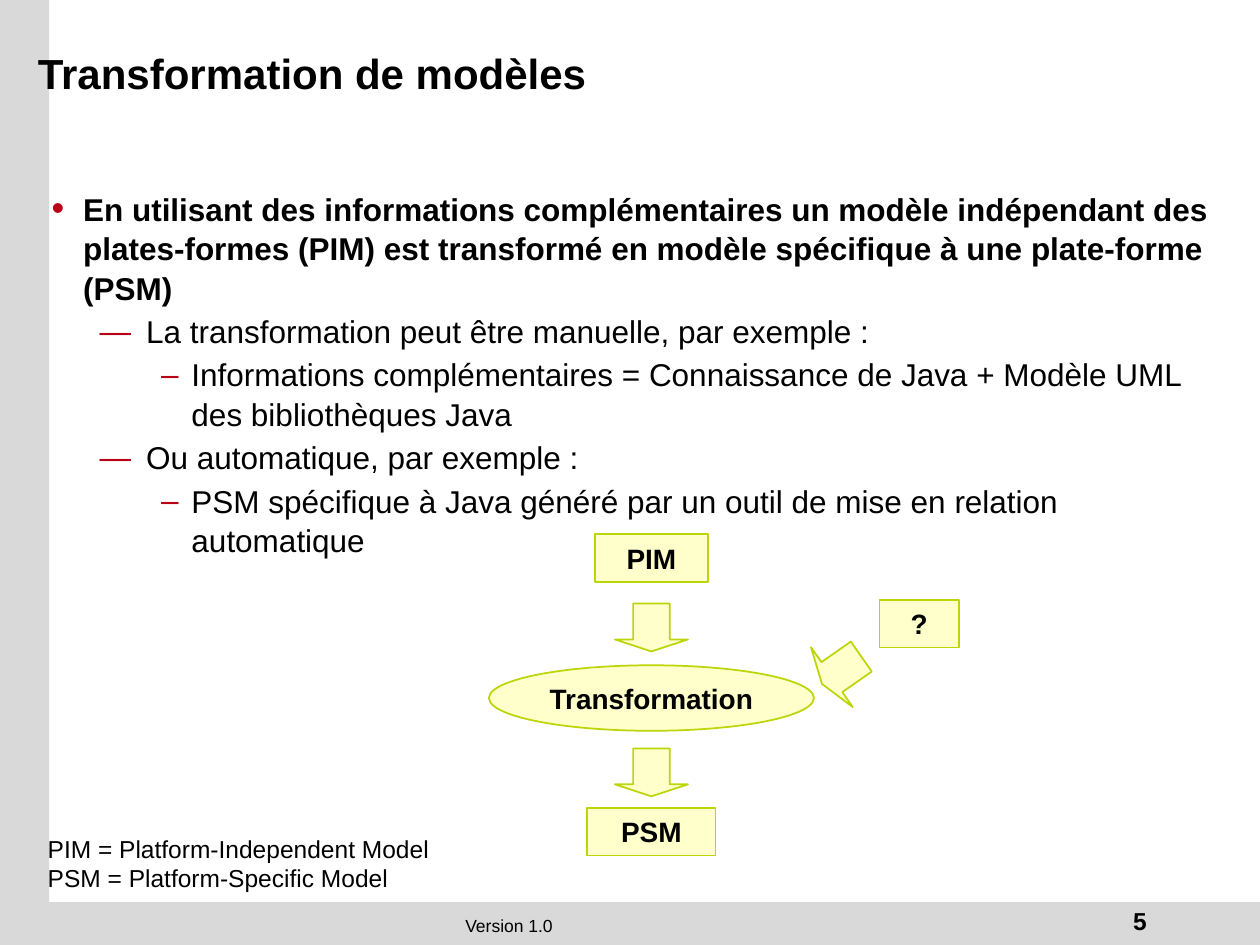
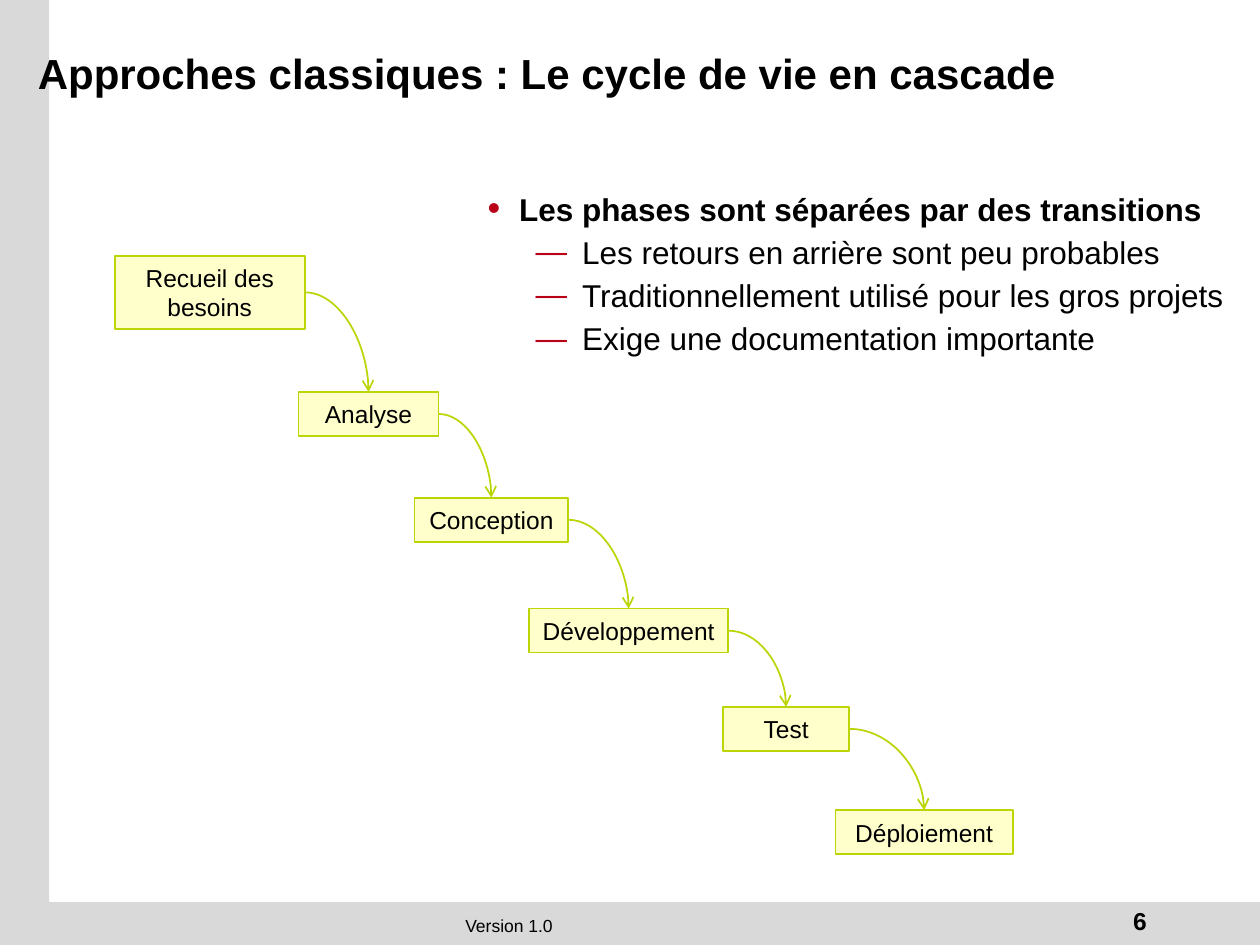
from dataclasses import dataclass
from itertools import pairwise
from typing import NamedTuple

from lxml.etree import SubElement
from pptx import Presentation
from pptx.dml.color import RGBColor
from pptx.enum.shapes import MSO_CONNECTOR as Connector, MSO_SHAPE as Preset
from pptx.enum.text import MSO_ANCHOR as Anchor, MSO_AUTO_SIZE as AutoSize, PP_ALIGN as Align
from pptx.oxml.ns import qn
from pptx.shapes.autoshape import Shape
from pptx.slide import Slide
from pptx.text.text import TextFrame
from pptx.util import Inches, Pt


@dataclass(frozen=True)
class Theme:
    font: str = "Arial"
    ink: RGBColor = RGBColor(0x00, 0x00, 0x00)
    band: RGBColor = RGBColor(0xD9, 0xD9, 0xD9)
    node_fill: RGBColor = RGBColor(0xFF, 0xFF, 0xCC)
    node_line: RGBColor = RGBColor(0xBC, 0xD5, 0x07)
    bullet: str = "B90117"
    title_size: int = 24
    body_size: int = 18
    node_size: int = 16
    text_size: int = 14
    footer_size: int = 10


class Area(NamedTuple):
    left: float
    top: float
    width: float
    height: float


class Level(NamedTuple):
    mark: str
    indent: float
    hanging: float
    space_before: int
    mark_percent: int
    bold: bool


class Item(NamedTuple):
    level: int
    text: str


class Phase(NamedTuple):
    name: str
    area: Area


THEME = Theme()
LEVELS = (
    Level("•", 0.25, 0.25, 14, 115, True),
    Level("—", 0.75, 0.37, 2, 100, False),
    Level("–", 1.11, 0.24, 2, 100, False),
)

# Shared frame
BANDS = (Area(0, 0, 0.39, 7.5), Area(0, 7.16, 10, 0.34))
TITLE_AREA = Area(0.2, 0.18, 8.52, 0.79)
VERSION_AREA = Area(0.11, 7.21, 7.86, 0.27)
NUMBER_AREA = Area(7.62, 7.14, 1.58, 0.33)

# Model transformation
TRANSFORMATION_ITEMS = (
    Item(0, "En utilisant des informations complémentaires un modèle indépendant des "
            "plates-formes (PIM) est transformé en modèle spécifique à une plate-forme (PSM)"),
    Item(1, "La transformation peut être manuelle, par exemple :"),
    Item(2, "Informations complémentaires = Connaissance de Java + Modèle UML "
            "des bibliothèques Java"),
    Item(1, "Ou automatique, par exemple :"),
    Item(2, "PSM spécifique à Java généré par un outil de mise en relation automatique"),
)
ACRONYMS = ("PIM = Platform-Independent Model", "PSM = Platform-Specific Model")
FLOW_AXIS = 5.17
ARROW_WIDTH, ARROW_HEIGHT = 0.58, 0.38

# Waterfall life cycle
WATERFALL_ITEMS = (
    Item(0, "Les phases sont séparées par des transitions"),
    Item(1, "Les retours en arrière sont peu probables"),
    Item(1, "Traditionnellement utilisé pour les gros projets"),
    Item(1, "Exige une documentation importante"),
)
PHASES = (
    Phase("Recueil des besoins", Area(0.91, 2.03, 1.51, 0.58)),
    Phase("Analyse", Area(2.37, 3.11, 1.11, 0.35)),
    Phase("Conception", Area(3.29, 3.95, 1.22, 0.35)),
    Phase("Développement", Area(4.2, 4.83, 1.58, 0.35)),
    Phase("Test", Area(5.74, 5.61, 1, 0.35)),
    Phase("Déploiement", Area(6.63, 6.43, 1.41, 0.35)),
)


def inches(area: Area) -> list[Inches]:
    return [Inches(length) for length in area]


def place(shape: Shape, area: Area) -> None:
    shape.left, shape.top, shape.width, shape.height = inches(area)


def write(frame: TextFrame, lines: tuple[str, ...], size: int,
          bold: bool = False, align: Align = Align.LEFT) -> None:
    frame.text = "\n".join(lines)
    for para in frame.paragraphs:
        para.alignment = align
        font = para.font
        font.name, font.size, font.bold = THEME.font, Pt(size), bold
        font.color.rgb = THEME.ink


def add_text(page: Slide, area: Area, lines: tuple[str, ...], size: int,
             bold: bool = False, align: Align = Align.LEFT) -> None:
    frame = page.shapes.add_textbox(*inches(area)).text_frame
    frame.word_wrap = True
    write(frame, lines, size, bold, align)


def add_band(page: Slide, area: Area) -> None:
    band = page.shapes.add_shape(Preset.RECTANGLE, *inches(area))
    band.shadow.inherit = False
    band.fill.solid()
    band.fill.fore_color.rgb = THEME.band
    band.line.fill.background()
    # Send behind the placeholders
    page.shapes._spTree.insert(2, band._element)


def add_node(page: Slide, preset: Preset, area: Area, label: str = "",
             size: int = THEME.node_size, bold: bool = True) -> Shape:
    node = page.shapes.add_shape(preset, *inches(area))
    node.shadow.inherit = False
    node.fill.solid()
    node.fill.fore_color.rgb = THEME.node_fill
    node.line.color.rgb = THEME.node_line
    node.line.width = Pt(1)
    if label:
        frame = node.text_frame
        frame.word_wrap = preset == Preset.RECTANGLE
        frame.vertical_anchor = Anchor.MIDDLE
        frame.margin_left = frame.margin_right = Inches(0.05)
        write(frame, (label,), size, bold, Align.CENTER)
    return node


def add_arrow(page: Slide, left: float, top: float, rotation: float = 0) -> None:
    arrow = add_node(page, Preset.DOWN_ARROW, Area(left, top, ARROW_WIDTH, ARROW_HEIGHT))
    arrow.adjustments[1] = 0.25
    arrow.rotation = rotation


def add_transition(page: Slide, source: Shape, target: Shape) -> None:
    curve = page.shapes.add_connector(Connector.CURVE, 0, 0, 0, 0)
    curve.begin_connect(source, 3)
    curve.end_connect(target, 0)
    curve.line.color.rgb = THEME.node_line
    curve.line.width = Pt(1)
    properties = curve._element.spPr
    properties.find(qn("a:prstGeom")).set("prst", "curvedConnector2")
    SubElement(properties.find(qn("a:ln")), qn("a:tailEnd"), type="arrow")
    SubElement(properties, qn("a:effectLst"))


def fill_list(body: Shape, area: Area, items: tuple[Item, ...]) -> None:
    place(body, area)
    frame = body.text_frame
    frame.auto_size = AutoSize.NONE
    frame.word_wrap = True
    for index, item in enumerate(items):
        level = LEVELS[item.level]
        para = frame.add_paragraph() if index else frame.paragraphs[0]
        para.text = item.text
        para.level = item.level
        para.line_spacing = 1.05
        para.space_before = Pt(level.space_before if index else 0)
        properties = para._p.get_or_add_pPr()
        properties.set("marL", str(Inches(level.indent)))
        properties.set("indent", str(-Inches(level.hanging)))
        color = SubElement(properties, qn("a:buClr"))
        SubElement(color, qn("a:srgbClr"), val=THEME.bullet)
        SubElement(properties, qn("a:buSzPct"), val=str(level.mark_percent * 1000))
        SubElement(properties, qn("a:buFont"), typeface=THEME.font)
        SubElement(properties, qn("a:buChar"), char=level.mark)
        font = para.font
        font.name, font.size, font.bold = THEME.font, Pt(THEME.body_size), level.bold
        font.color.rgb = THEME.ink


def add_page(deck: Presentation, number: int, title: str,
             area: Area, items: tuple[Item, ...]) -> Slide:
    page = deck.slides.add_slide(deck.slide_layouts[1])
    for band in BANDS:
        add_band(page, band)
    add_text(page, VERSION_AREA, ("Version 1.0",), THEME.footer_size, align=Align.CENTER)
    add_text(page, NUMBER_AREA, (str(number),), THEME.text_size, True, Align.RIGHT)
    heading = page.shapes.title
    place(heading, TITLE_AREA)
    heading.text_frame.vertical_anchor = Anchor.MIDDLE
    heading.text_frame.auto_size = AutoSize.NONE
    write(heading.text_frame, (title,), THEME.title_size, True)
    fill_list(page.placeholders[1], area, items)
    return page


def add_transformation_page(deck: Presentation) -> None:
    page = add_page(deck, 5, "Transformation de modèles",
                    Area(0.31, 1.44, 9.4, 2.91), TRANSFORMATION_ITEMS)
    # Vertical flow, centred on one axis
    for preset, label, top, width, height in (
        (Preset.RECTANGLE, "PIM", 4.24, 0.9, 0.38),
        (Preset.OVAL, "Transformation", 5.28, 2.58, 0.52),
        (Preset.RECTANGLE, "PSM", 6.41, 1.02, 0.38),
    ):
        add_node(page, preset, Area(FLOW_AXIS - width / 2, top, width, height), label)
    for top in (4.79, 5.94):
        add_arrow(page, FLOW_AXIS - ARROW_WIDTH / 2, top)
    # Additional information
    add_node(page, Preset.RECTANGLE, Area(6.98, 4.76, 0.63, 0.38), "?")
    add_arrow(page, 6.39, 5.13, 55.1)
    add_text(page, Area(0.28, 6.57, 3.95, 0.57), ACRONYMS, THEME.text_size)


def add_waterfall_page(deck: Presentation) -> None:
    page = add_page(deck, 6, "Approches classiques : Le cycle de vie en cascade",
                    Area(3.77, 1.44, 6.23, 1.39), WATERFALL_ITEMS)
    boxes = [add_node(page, Preset.RECTANGLE, phase.area, phase.name, THEME.text_size, False)
             for phase in PHASES]
    for source, target in pairwise(boxes):
        add_transition(page, source, target)


def main() -> None:
    deck = Presentation()
    deck.slide_width, deck.slide_height = Inches(10), Inches(7.5)
    add_transformation_page(deck)
    add_waterfall_page(deck)
    deck.save("out.pptx")


if __name__ == "__main__":
    main()
